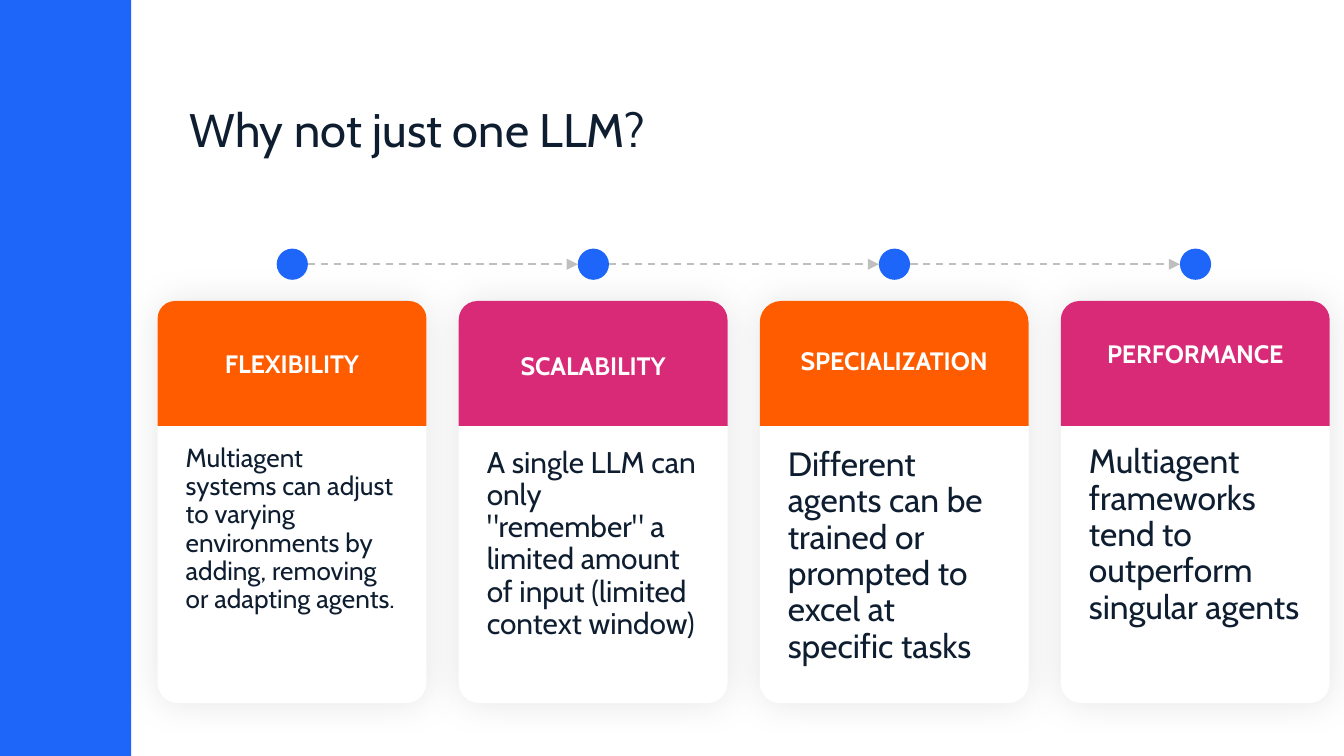
from lxml import etree
from pptx import Presentation
from pptx.dml.color import RGBColor
from pptx.enum.dml import MSO_LINE
from pptx.enum.shapes import MSO_CONNECTOR, MSO_SHAPE
from pptx.enum.text import MSO_ANCHOR as Anchor, PP_ALIGN as Align
from pptx.oxml import parse_xml
from pptx.oxml.ns import nsdecls, qn
from pptx.util import Cm, Pt

BLUE, ORANGE, PINK = "1E66FA", "FF5C00", "D82A76"
WHITE, NAVY, GRAY = "FFFFFF", "0E1E30", "BFBFBF"


def color(value):
    return RGBColor.from_string(value)


class SlideBuilder:
    font_name = "Cabin"

    def __init__(self, slide):
        self.slide = slide

    def set_text(self, shape, text, size, text_color, align=Align.LEFT,
                 anchor=Anchor.TOP, bold=False, line_spacing=1.0, inset=0.13):
        frame = shape.text_frame
        frame.text = text
        frame_format = {"word_wrap": True, "vertical_anchor": anchor,
                        "margin_left": Cm(0.25), "margin_right": Cm(0.25),
                        "margin_top": Cm(inset), "margin_bottom": Cm(inset)}
        for name, value in frame_format.items():
            setattr(frame, name, value)
        paragraph = frame.paragraphs[0]
        paragraph.alignment = align
        paragraph.line_spacing = line_spacing
        font_format = {"name": self.font_name, "size": Pt(size), "bold": bold}
        for name, value in font_format.items():
            setattr(paragraph.font, name, value)
        paragraph.font.color.rgb = color(text_color)

    def title(self, text, left, top, width, height):
        title = self.slide.shapes.title
        placement = {"left": left, "top": top, "width": width, "height": height}
        for name, value in placement.items():
            setattr(title, name, Cm(value))
        self.set_text(title, text, 25.2, NAVY, inset=0.25)

    def text(self, text, left, top, width, height, **style):
        box = self.slide.shapes.add_textbox(Cm(left), Cm(top), Cm(width), Cm(height))
        self.set_text(box, text, **style)

    def shape(self, kind, left, top, width, height, fill, corners=()):
        shape = self.slide.shapes.add_shape(
            kind, Cm(left), Cm(top), Cm(width), Cm(height))
        shape.shadow.inherit = False
        shape.fill.solid()
        shape.fill.fore_color.rgb = color(fill)
        shape.line.fill.background()
        for index, value in enumerate(corners):
            shape.adjustments[index] = value
        return shape

    def card(self, left, top, width, height):
        card = self.shape(MSO_SHAPE.ROUNDED_RECTANGLE, left, top, width, height,
                          WHITE, [0.075])
        effects = card.element.spPr.find(qn("a:effectLst"))
        effects.append(parse_xml(
            f'<a:outerShdw {nsdecls("a")} blurRad="{Pt(20)}" dist="0" algn="ctr" '
            'rotWithShape="0"><a:srgbClr val="000000"><a:alpha val="10000"/>'
            '</a:srgbClr></a:outerShdw>'))

    def arrow(self, start, end, y):
        arrow = self.slide.shapes.add_connector(
            MSO_CONNECTOR.STRAIGHT, Cm(start), Cm(y), Cm(end), Cm(y))
        line_format = {"width": Pt(1), "dash_style": MSO_LINE.DASH}
        for name, value in line_format.items():
            setattr(arrow.line, name, value)
        arrow.line.color.rgb = color(GRAY)
        etree.SubElement(arrow.get_or_add_ln(), qn("a:tailEnd"), type="triangle")
        etree.SubElement(arrow.element.spPr, qn("a:effectLst"))


# Header colour, corner, label, label top, label anchor, body, body top, body size
CARDS = [
    (ORANGE, 0.14, "FLEXIBILITY", 6.22, Anchor.MIDDLE,
     "Multiagent systems can adjust to varying environments by adding, "
     "removing or adapting agents.", 8.28, 14),
    (PINK, 0.15, "SCALABILITY", 6.5, Anchor.TOP,
     'A single LLM can only "remember" a limited amount of input '
     "(limited context window)", 8.33, 16),
    (ORANGE, 0.17, "SPECIALIZATION", 6.4, Anchor.TOP,
     "Different agents can be trained or prompted to excel at specific tasks",
     8.33, 18),
    (PINK, 0.15, "PERFORMANCE", 6.27, Anchor.TOP,
     "Multiagent frameworks tend to outperform singular agents", 8.28, 18),
]
CARD_LEFT, CARD_TOP, CARD_WIDTH, CARD_HEIGHT = 2.98, 5.69, 5.08, 7.6
PITCH, HEADER_HEIGHT = 5.69, 2.36
DOT_LEFT, DOT_TOP, DOT_SIZE = 5.23, 4.7, 0.59
TEXT_LEFT, TEXT_WIDTH = 3.26, 4.52


def main():
    presentation = Presentation()
    presentation.slide_width = Cm(25.4)
    presentation.slide_height = Cm(14.29)
    builder = SlideBuilder(presentation.slides.add_slide(presentation.slide_layouts[5]))

    # Side band and title
    builder.shape(MSO_SHAPE.RECTANGLE, 0, 0, 2.48, 14.29, BLUE)
    builder.title("Why not just one LLM?", 3.33, 1.65, 20.07, 1.6)

    for index, card in enumerate(CARDS):
        fill, corner, label, label_top, anchor, body, body_top, body_size = card
        offset = index * PITCH

        # Card with coloured header
        left = CARD_LEFT + offset
        builder.card(left, CARD_TOP, CARD_WIDTH, CARD_HEIGHT)
        builder.shape(MSO_SHAPE.ROUND_2_SAME_RECTANGLE, left, CARD_TOP,
                      CARD_WIDTH, HEADER_HEIGHT, fill, [corner, 0])

        # Timeline dot and arrow to the next dot
        dot_left = DOT_LEFT + offset
        builder.shape(MSO_SHAPE.OVAL, dot_left, DOT_TOP, DOT_SIZE, DOT_SIZE, BLUE)
        if index < len(CARDS) - 1:
            builder.arrow(dot_left + DOT_SIZE, dot_left + PITCH, DOT_TOP + DOT_SIZE / 2)

        # Label and body text
        text_left = TEXT_LEFT + offset
        builder.text(label, text_left, label_top, TEXT_WIDTH, 1.3, size=13.5,
                     text_color=WHITE, align=Align.CENTER, anchor=anchor, bold=True)
        builder.text(body, text_left, body_top, TEXT_WIDTH, 4.7, size=body_size,
                     text_color=NAVY, line_spacing=0.9)

    presentation.save("out.pptx")


if __name__ == "__main__":
    main()
